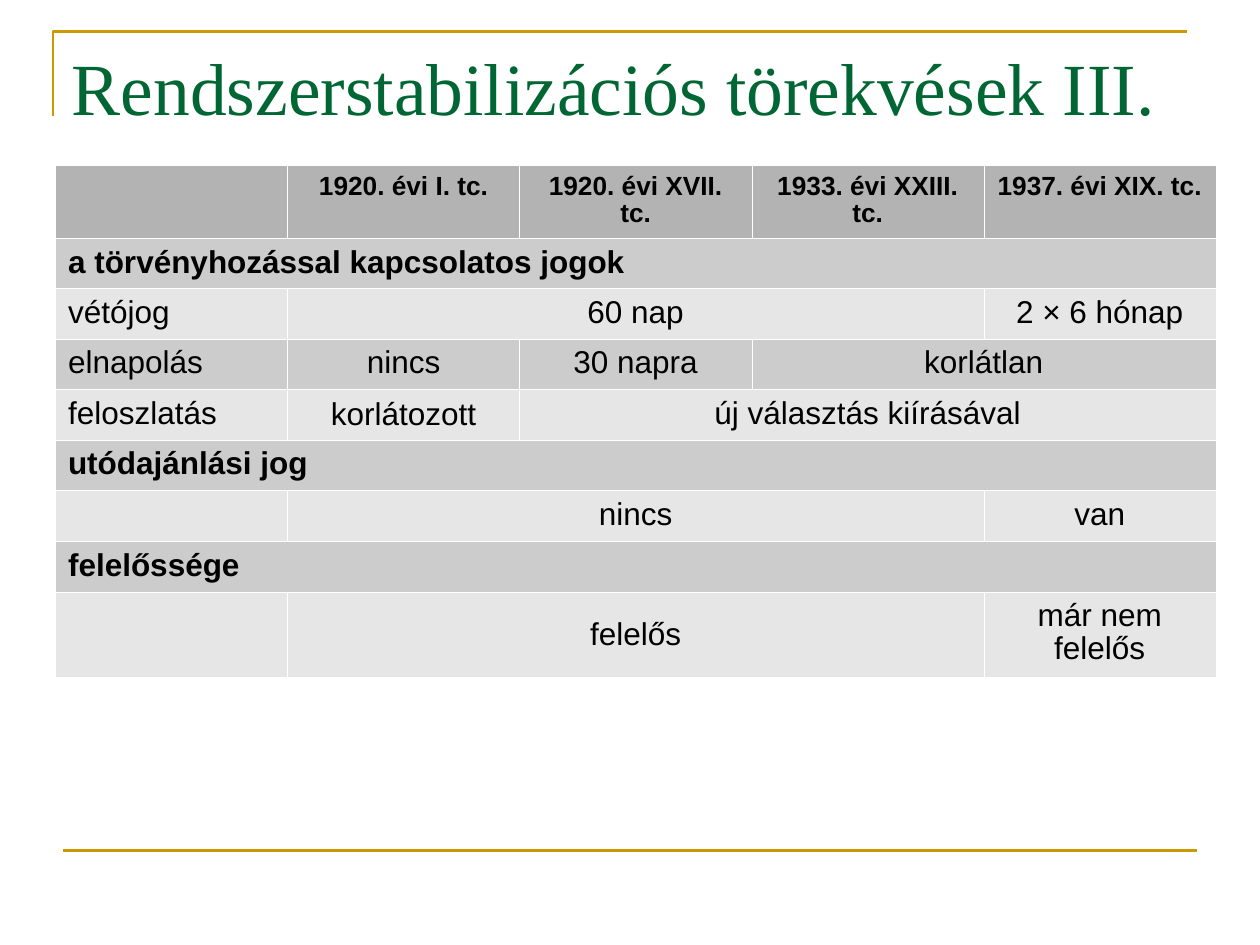
from lxml.etree import SubElement
from pptx import Presentation
from pptx.dml.color import RGBColor
from pptx.enum.shapes import MSO_CONNECTOR
from pptx.enum.text import MSO_ANCHOR, PP_ALIGN
from pptx.oxml.ns import qn
from pptx.util import Inches, Pt

GOLD = RGBColor(0xCC, 0x99, 0x00)
GREEN = RGBColor(0x00, 0x66, 0x33)
BLACK = RGBColor(0, 0, 0)
HEAD = RGBColor(0xB3, 0xB3, 0xB3)
BANDS = [RGBColor(0xE6, 0xE6, 0xE6), RGBColor(0xCC, 0xCC, 0xCC)]

# Each row lists (text, columns spanned)
ROWS = [
    [("", 1), ("1920. évi I. tc.", 1), ("1920. évi XVII. tc.", 1),
     ("1933. évi XXIII. tc.", 1), ("1937. évi XIX. tc.", 1)],
    [("a törvényhozással kapcsolatos jogok", 5)],
    [("vétójog", 1), ("60 nap", 3), ("2 × 6 hónap", 1)],
    [("elnapolás", 1), ("nincs", 1), ("30 napra", 1), ("korlátlan", 2)],
    [("feloszlatás", 1), ("korlátozott", 1), ("új választás kiírásával", 3)],
    [("utódajánlási jog", 5)],
    [("", 1), ("nincs", 3), ("van", 1)],
    [("felelőssége", 5)],
    [("", 1), ("felelős", 3), ("már nem felelős", 1)],
]
HEIGHTS = [0.58] + [0.4] * 7 + [0.68]
MIDDLE = ("korlátozott", "felelős")


def add_run(para, text, font, size, color, bold=False):
    run = para.add_run()
    run.text = text
    run.font.name = font
    run.font.size = Pt(size)
    run.font.bold = bold
    run.font.color.rgb = color


def set_edges(cell):
    props = cell._tc.get_or_add_tcPr()
    for side in ("lnL", "lnR", "lnT", "lnB"):
        edge = SubElement(props, qn(f"a:{side}"), w=str(Pt(0.06)))
        fill = SubElement(edge, qn("a:solidFill"))
        SubElement(fill, qn("a:srgbClr"), val="FFFFFF")


prs = Presentation()
prs.slide_width, prs.slide_height = Inches(10), Inches(7.5)
slide = prs.slides.add_slide(prs.slide_layouts[5])
shapes = slide.shapes

# Corner frame
pen = shapes.build_freeform(Inches(0.42), Inches(0.92))
pen.add_line_segments([(Inches(0.42), Inches(0.25)),
                       (Inches(9.42), Inches(0.25))], close=False)
frame = pen.convert_to_shape()
frame.shadow.inherit = False
frame.fill.background()

# Bottom rule
rule = shapes.add_connector(MSO_CONNECTOR.STRAIGHT, Inches(0.5), Inches(6.75),
                            Inches(9.5), Inches(6.75))
SubElement(rule._element.spPr, qn("a:effectLst"))
for item in (frame, rule):
    item.line.color.rgb = GOLD
    item.line.width = Pt(1.5)

# Title
title = shapes.title
title.left, title.top = Inches(0.47), Inches(0.28)
title.width, title.height = Inches(9), Inches(1.13)
box = title.text_frame
box.word_wrap = True
box.vertical_anchor = MSO_ANCHOR.TOP
box.paragraphs[0].alignment = PP_ALIGN.LEFT
add_run(box.paragraphs[0], "Rendszerstabilizációs törekvések III.",
        "Times New Roman", 42, GREEN)

# Table
table = shapes.add_table(len(ROWS), 5, Inches(0.44), Inches(1.31),
                         Inches(9.21), Inches(sum(HEIGHTS))).table
for col in table.columns:
    col.width = Inches(9.21 / 5)
for r, (row, high) in enumerate(zip(ROWS, HEIGHTS)):
    table.rows[r].height = Inches(high)
    for cell in table.rows[r].cells:
        set_edges(cell)
        cell.fill.solid()
        cell.fill.fore_color.rgb = BANDS[r % 2] if r else HEAD
    c = 0
    for text, span in row:
        cell = table.cell(r, c)
        if span > 1:
            cell.merge(table.cell(r, c + span - 1))
        if text:
            cell.margin_top = Inches(0.07)
            if text in MIDDLE:
                cell.vertical_anchor = MSO_ANCHOR.MIDDLE
            para = cell.text_frame.paragraphs[0]
            para.alignment = PP_ALIGN.CENTER if c else PP_ALIGN.LEFT
            para.line_spacing = 0.93
            add_run(para, text, "Arial", 18 if r else 15, BLACK,
                    bold=r == 0 or span == 5)
        c += span

prs.save("out.pptx")
